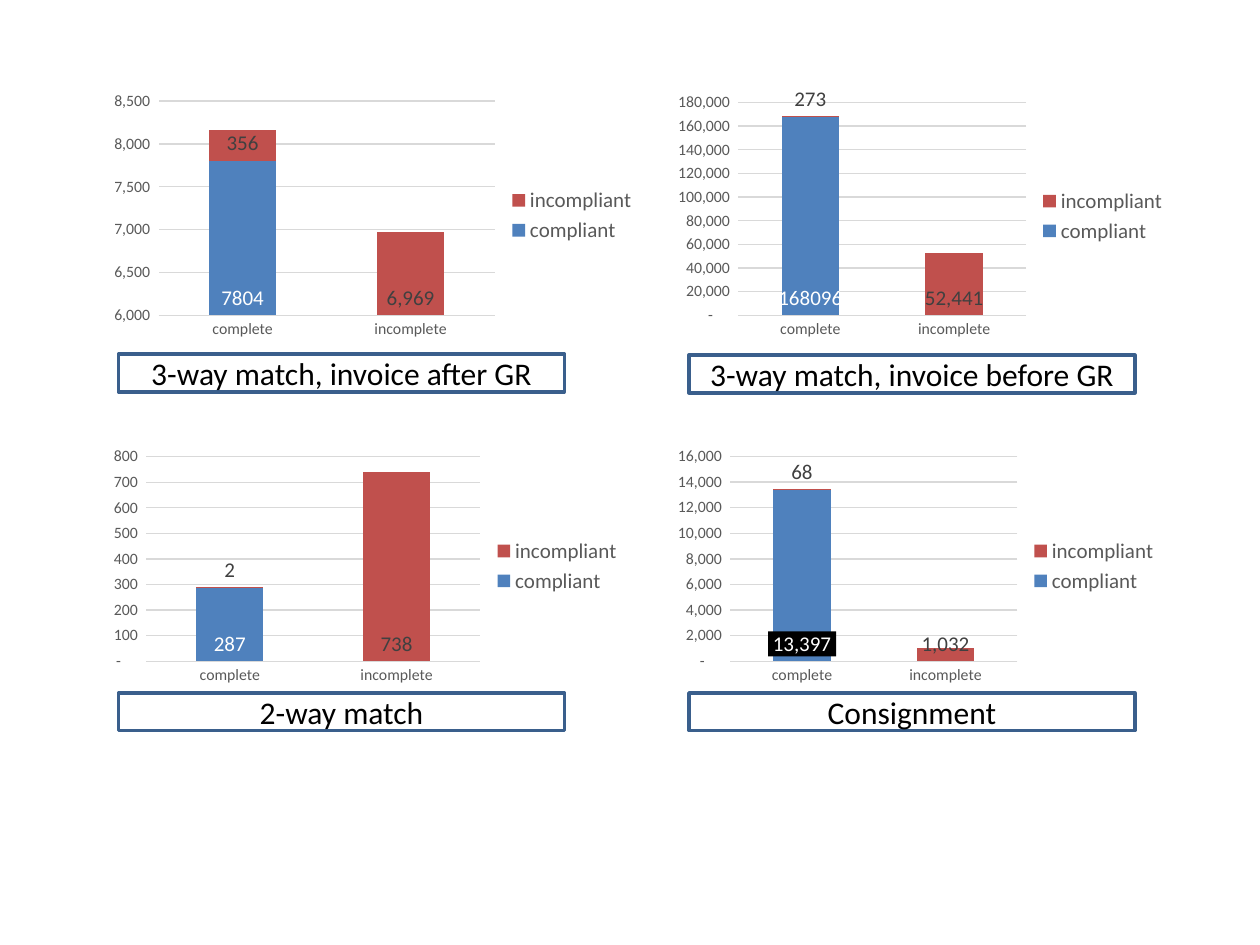
from lxml import etree
from pptx import Presentation
from pptx.chart import data as d
from pptx.dml.color import RGBColor
from pptx.enum import chart as c, shapes, text
from pptx.oxml import ns
from pptx.util import Cm, Pt

ACCOUNTING = '_(* #,##0_);_(* \\(#,##0\\);_(* "-"??_);_('


def color(value):
    return RGBColor.from_string(value)


def style(font, size, shade):
    font.name = "Calibri"
    font.size = Pt(size)
    font.bold = False
    font.color.rgb = color(shade)


deck = Presentation()
deck.slide_width, deck.slide_height = Cm(25.4), Cm(19.05)
page = deck.slides.add_slide(deck.slide_layouts[6])

panels = [
    dict(title="3-way match, invoice after GR", at=(2.01, 1.75, 11.07, 5.18), box=(2.39, 7.14),
         compliant=7804, incompliant=(356, 6969), scale=(6000, 8500, 500)),
    dict(title="3-way match, invoice before GR", at=(13.39, 1.75, 10.39, 5.18), box=(13.89, 7.16),
         compliant=168096, incompliant=(273, 52441), scale=(0, 180000, 20000)),
    dict(title="2-way match", at=(2.01, 8.92, 10.77, 4.98), box=(2.39, 13.97),
         compliant=287, incompliant=(2, 738), scale=(0, 800, 100)),
    dict(title="Consignment", at=(13.39, 8.92, 10.21, 4.98), box=(13.89, 13.97),
         compliant=13397, incompliant=(68, 1032), scale=(0, 16000, 2000)),
]

for panel in panels:
    consignment = panel["title"] == "Consignment"
    figures = d.CategoryChartData()
    figures.categories = ["complete", "incomplete"]
    figures.add_series("compliant", (panel["compliant"], None))
    figures.add_series("incompliant", panel["incompliant"])
    chart = page.shapes.add_chart(
        c.XL_CHART_TYPE.COLUMN_STACKED, *map(Cm, panel["at"]), figures).chart
    style(chart.font, 10, "000000")
    chart.has_title = False
    chart.has_legend = True
    chart.legend.position = c.XL_LEGEND_POSITION.RIGHT
    chart.legend.include_in_layout = False
    style(chart.legend.font, 12, "595959")

    for axis in (chart.category_axis, chart.value_axis):
        axis.major_tick_mark = axis.minor_tick_mark = c.XL_TICK_MARK.NONE
        style(axis.tick_labels.font, 9, "595959")
    values = chart.value_axis
    values.format.line.fill.background()
    values.minimum_scale, values.maximum_scale, values.major_unit = panel["scale"]
    values.tick_labels.number_format = ACCOUNTING
    values.tick_labels.number_format_is_linked = False
    for line in (chart.category_axis.format.line, values.major_gridlines.format.line):
        line.color.rgb = color("D9D9D9")
        line.width = Pt(0.75)

    plot = chart.plots[0]
    plot.gap_width, plot.overlap = 150, 100
    plot.vary_by_categories = False
    formats = (ACCOUNTING if consignment else "General", ACCOUNTING)
    for series, fill, shade, number_format in zip(
            plot.series, ("4F81BD", "C0504D"), ("FFFFFF", "404040"), formats):
        series.format.fill.solid()
        series.format.fill.fore_color.rgb = color(fill)
        series.invert_if_negative = False
        labels = series.data_labels
        labels.show_value = True
        labels.position = c.XL_LABEL_POSITION.INSIDE_BASE
        labels.number_format = number_format
        labels.number_format_is_linked = False
        style(labels.font, 12, shade)

    if consignment:
        labels = plot.series[0].data_labels._element
        backdrop = etree.Element(ns.qn("c:spPr"))
        solid = etree.SubElement(backdrop, ns.qn("a:solidFill"))
        etree.SubElement(solid, ns.qn("a:srgbClr"), val="000000")
        labels.find(ns.qn("c:txPr")).addprevious(backdrop)

    box = page.shapes.add_shape(
        shapes.MSO_SHAPE.RECTANGLE, *map(Cm, panel["box"]), Cm(8.99), Cm(0.76))
    box.shadow.inherit = False
    box.fill.background()
    box.line.color.rgb = color("3A5F8C")
    box.line.width = Pt(2)
    box.text_frame.vertical_anchor = text.MSO_ANCHOR.MIDDLE
    para = box.text_frame.paragraphs[0]
    para.alignment = text.PP_ALIGN.CENTER
    span = para.add_run()
    span.text = panel["title"]
    style(span.font, 18, "000000")

deck.save("out.pptx")
